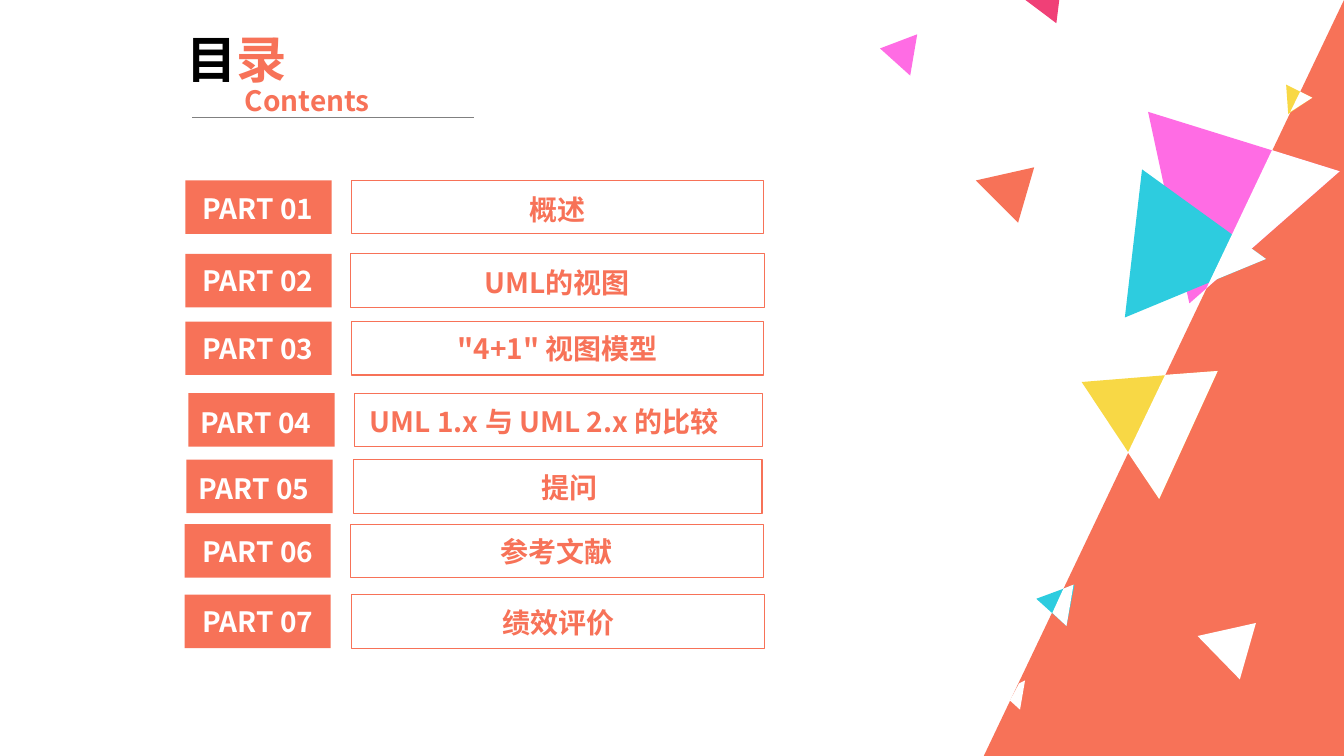
from dataclasses import dataclass

from lxml import etree
from pptx import Presentation
from pptx import util as u
from pptx.dml.color import RGBColor
from pptx.enum import shapes, text
from pptx.oxml import ns

CORAL = RGBColor(0xF7, 0x72, 0x58)
PINK = RGBColor(0xFF, 0x6C, 0xE4)
CYAN = RGBColor(0x2D, 0xCC, 0xDF)
YELLOW = RGBColor(0xF8, 0xD8, 0x45)
CRIMSON = RGBColor(0xF0, 0x40, 0x77)
GRAY = RGBColor(0x80, 0x80, 0x80)
WHITE = RGBColor(0xFF, 0xFF, 0xFF)
BLACK = RGBColor(0, 0, 0)

FONT = "Noto Sans CJK SC"
PART_WIDTH = 104.4
PART_TEXT_WIDTH = 100.8
ROW_HEIGHT = 38.2
TEXT_HEIGHT = 31.7
LEFT, CENTER = text.PP_ALIGN.LEFT, text.PP_ALIGN.CENTER


@dataclass(frozen=True)
class Entry:
    topic: str
    top: float
    part_left: float
    topic_left: float
    topic_width: float
    part_text_left: float
    part_text_top: float
    topic_text_left: float
    topic_text_top: float
    topic_text_width: float = 218.2
    align: text.PP_ALIGN = CENTER


@dataclass(frozen=True)
class Shard:
    color: RGBColor
    corners: tuple[tuple[float, float], ...]


ENTRIES = [
    Entry("概述", 128.9, 132.5, 251.3, 293.8, 133.9, 133.2, 289.4, 133.9),
    Entry("UML的视图", 181.4, 132.5, 250.6, 295.2, 133.9, 185, 288.7, 185.8),
    Entry('"4+1" 视图模型', 229.7, 132.5, 251.3, 293.8, 133.9, 233.3, 289.4, 233.3),
    Entry("UML 1.x 与 UML 2.x 的比较", 280.8, 134.6, 253.4, 291.6,
          132.5, 285.8, 257, 285.1, 303.1, LEFT),
    Entry("提问", 328.3, 133.2, 252.7, 291.6, 131, 333.4, 255.6, 332.6, 303.1),
    Entry("参考文献", 374.4, 131.8, 250.6, 294.5, 133.9, 378, 288.7, 378),
    Entry("绩效评价", 424.8, 131.8, 251.3, 294.5, 133.9, 428.4, 290.2, 429.1),
]

SHARDS = [
    Shard(CORAL, ((738.7, 119.5), (727.2, 159.1), (697, 128.9))),
    Shard(PINK, ((849.6, 216.7), (820.1, 79.9), (956.9, 122.4))),
    Shard(CYAN, ((803.5, 226.8), (815.8, 121), (904.3, 185))),
    Shard(CYAN, ((740.2, 427.7), (767.5, 417.6), (761.8, 447.1))),
    Shard(YELLOW, ((772.6, 272.9), (869.8, 265), (828, 356.4))),
    Shard(YELLOW, ((920.2, 81.4), (918.7, 60.5), (937.4, 69.8))),
    Shard(PINK, ((628.6, 34.6), (655.2, 24.5), (650.2, 54))),
    Shard(CRIMSON, ((754.6, 16.6), (731.5, -0.7), (758.2, -12.2))),
    Shard(WHITE, ((897.1, 445), (885.6, 485.3), (855.4, 454.3))),
    Shard(WHITE, ((908.6, 107.3), (956.9, 122.4), (861.8, 205.9))),
    Shard(WHITE, ((880.6, 167.8), (904.3, 185), (864, 201.6))),
    Shard(WHITE, ((766.8, 417.6), (761.8, 447.1), (751.7, 437.8), (759.6, 420.5))),
    Shard(WHITE, ((732.2, 486), (728.6, 506.9), (721.4, 500.4), (727.9, 488.2))),
    Shard(WHITE, ((869.8, 265), (828, 356.4), (805.7, 323.3), (832.3, 267.8))),
    Shard(WHITE, ((928.8, 65.5), (937.4, 69.8), (921.6, 79.9))),
]


def paint(shape, color: RGBColor) -> None:
    shape.shadow.inherit = False
    shape.fill.solid()
    shape.fill.fore_color.rgb = color
    shape.line.fill.background()


def add_block(slide, kind, left: float, top: float, width: float, height: float):
    return slide.shapes.add_shape(kind, u.Pt(left), u.Pt(top), u.Pt(width), u.Pt(height))


def write(frame, runs: list[tuple[str, RGBColor]], size: float, align) -> None:
    frame.word_wrap = True
    frame.auto_size = text.MSO_AUTO_SIZE.SHAPE_TO_FIT_TEXT
    frame.vertical_anchor = text.MSO_ANCHOR.TOP
    paragraph = frame.paragraphs[0]
    paragraph.alignment = align
    for words, color in runs:
        run = paragraph.add_run()
        run.text = words
        run.font.size = u.Pt(size)
        run.font.bold = True
        run.font.name = FONT
        run.font.color.rgb = color
        etree.SubElement(run.font._element, ns.qn("a:ea"), typeface=FONT)


def add_label(slide, words: str, color: RGBColor, left: float, top: float,
              width: float, align) -> None:
    label = slide.shapes.add_textbox(u.Pt(left), u.Pt(top), u.Pt(width), u.Pt(TEXT_HEIGHT))
    write(label.text_frame, [(words, color)], 20, align)


def add_heading(slide) -> None:
    heading = slide.shapes.title
    heading.left, heading.top = u.Pt(126), u.Pt(16.6)
    heading.width, heading.height = u.Pt(113), u.Pt(51.1)
    write(heading.text_frame, [("目", BLACK), ("录", CORAL)], 36, LEFT)
    underline = slide.shapes.add_connector(
        shapes.MSO_CONNECTOR.STRAIGHT, u.Pt(137.5), u.Pt(83.5), u.Pt(338.4), u.Pt(83.5))
    underline.line.color.rgb = GRAY
    underline.line.width = u.Pt(0.5)
    etree.SubElement(underline._element.spPr, ns.qn("a:effectLst"))
    add_label(slide, "Contents", CORAL, 167.8, 56.2, 113, LEFT)


def add_shard(slide, shard: Shard) -> None:
    start, *others = [(u.Pt(x), u.Pt(y)) for x, y in shard.corners]
    outline = slide.shapes.build_freeform(*start)
    outline.add_line_segments(others, close=True)
    paint(outline.convert_to_shape(), shard.color)


def add_entry(slide, number: int, entry: Entry) -> None:
    rectangle = shapes.MSO_SHAPE.RECTANGLE
    frame = add_block(slide, rectangle, entry.topic_left, entry.top,
                      entry.topic_width, ROW_HEIGHT)
    frame.shadow.inherit = False
    frame.fill.background()
    frame.line.color.rgb = CORAL
    frame.line.width = u.Pt(0.75)
    add_label(slide, entry.topic, CORAL, entry.topic_text_left, entry.topic_text_top,
              entry.topic_text_width, entry.align)
    part = add_block(slide, rectangle, entry.part_left, entry.top, PART_WIDTH, ROW_HEIGHT)
    paint(part, CORAL)
    add_label(slide, f"PART {number:02}", WHITE, entry.part_text_left,
              entry.part_text_top, PART_TEXT_WIDTH, CENTER)


def main() -> None:
    deck = Presentation()
    deck.slide_width, deck.slide_height = u.Pt(960), u.Pt(540)
    slide = deck.slides.add_slide(deck.slide_layouts.get_by_name("Title Only"))
    slope = add_block(slide, shapes.MSO_SHAPE.ISOSCELES_TRIANGLE, 702.7, 0, 257.3, 540)
    slope.adjustments[0] = 1
    paint(slope, CORAL)
    add_heading(slide)
    for shard in SHARDS:
        add_shard(slide, shard)
    for number, entry in enumerate(ENTRIES, start=1):
        add_entry(slide, number, entry)
    deck.save("out.pptx")


if __name__ == "__main__":
    main()
